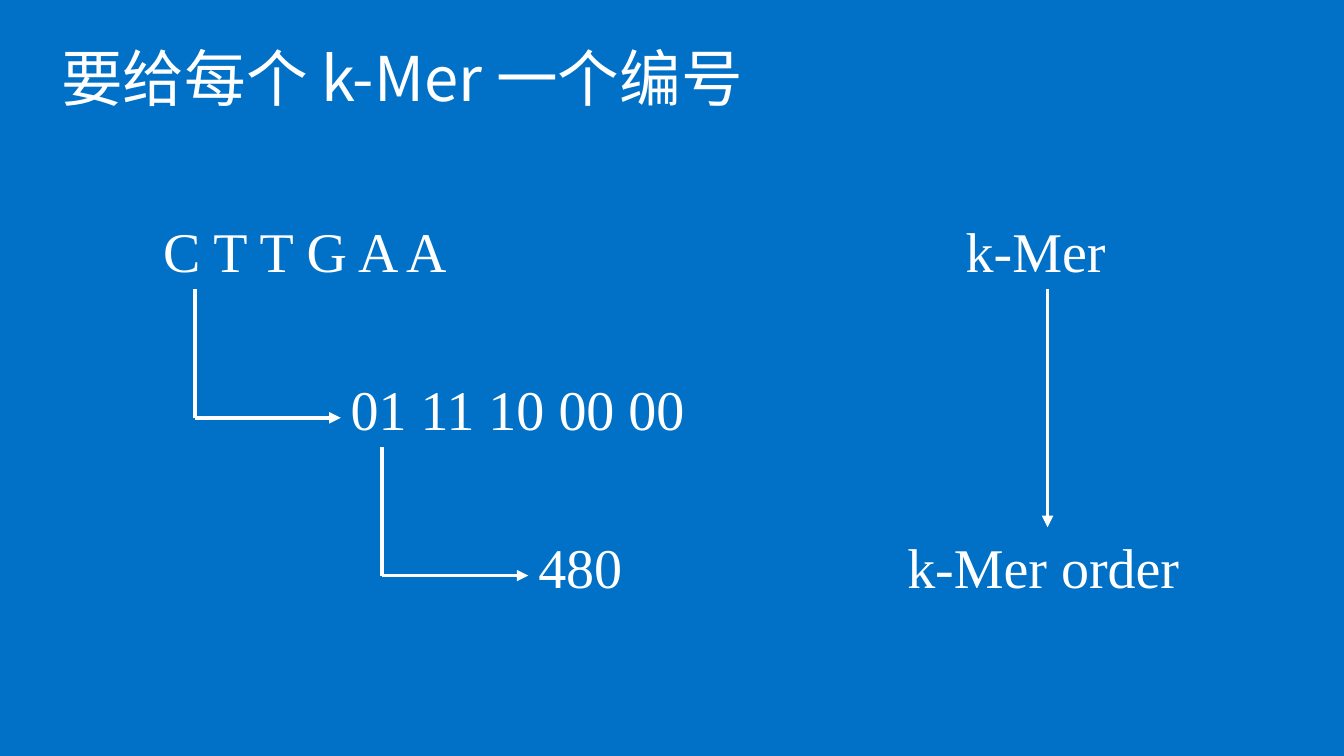
from lxml import etree
from pptx import Presentation, util as u
from pptx.dml.color import RGBColor
from pptx.enum import shapes, text
from pptx.oxml.ns import qn

WHITE, BLUE = "FFFFFF", "0071C6"
LEFT, TOP = 1.52, 2.1
COLUMN, ROW = 1.86, 1.565
LABEL_HEIGHT = 0.77
STEM_INSET, ARROW_DROP = 0.41, 0.48


def color(hex_code):
    return RGBColor.from_string(hex_code)


def column_x(column):
    return LEFT + column * COLUMN


def row_y(row):
    return TOP + row * ROW


def add_text(slide, wording, x, y, width, height, size, font):
    frame = slide.shapes.add_textbox(*map(u.Inches, (x, y, width, height))).text_frame
    frame.word_wrap = True
    paragraph = frame.paragraphs[0]
    run = paragraph.add_run()
    run.text = wording
    run.font.size = u.Pt(size)
    run.font.name = font
    run.font.color.rgb = color(WHITE)
    east_asian = etree.Element(qn("a:ea"), typeface=font)
    run.font._element.find(qn("a:latin")).addnext(east_asian)
    return frame


def add_title(slide, wording):
    frame = add_text(slide, wording, 0.51, 0.31, 12.72, 1, 44, "Noto Sans CJK SC")
    frame.vertical_anchor = text.MSO_ANCHOR.MIDDLE
    frame.paragraphs[0].line_spacing = 0.9


def add_label(slide, wording, x, row, width):
    frame = add_text(slide, wording, x, row_y(row), width, LABEL_HEIGHT, 40, "Times New Roman")
    frame.auto_size = text.MSO_AUTO_SIZE.SHAPE_TO_FIT_TEXT


def add_line(slide, start, end, arrow=False):
    connector = slide.shapes.add_connector(
        shapes.MSO_CONNECTOR.STRAIGHT, *map(u.Inches, (*start, *end)))
    connector.line.color.rgb = color(WHITE)
    connector.line.width = u.Pt(2.75)
    if arrow:
        etree.SubElement(connector.line._get_or_add_ln(), qn("a:tailEnd"), type="triangle")
    etree.SubElement(connector._element.spPr, qn("a:effectLst"))


def add_step(slide, index):
    stem_x = column_x(index) + STEM_INSET
    corner = (stem_x, row_y(index + 1) + ARROW_DROP)
    add_line(slide, (stem_x, row_y(index) + LABEL_HEIGHT), corner)
    add_line(slide, corner, (column_x(index + 1), corner[1]), arrow=True)


def main():
    deck = Presentation()
    deck.slide_width, deck.slide_height = u.Inches(13.33), u.Inches(7.5)
    slide = deck.slides.add_slide(deck.slide_layouts[6])
    slide.background.fill.solid()
    slide.background.fill.fore_color.rgb = color(BLUE)

    add_title(slide, "要给每个 k-Mer 一个编号")

    encoding = [("C T T G A A", 3.73), ("01 11 10 00 00", 3.85), ("480", 1.15)]
    for index, (wording, width) in enumerate(encoding):
        add_label(slide, wording, column_x(index), index, width)
    for index in range(len(encoding) - 1):
        add_step(slide, index)

    mapping_x = 10.39
    add_label(slide, "k-Mer", 9.48, 0, 1.82)
    add_label(slide, "k-Mer order", 8.9, 2, 2.98)
    add_line(slide, (mapping_x, row_y(0) + LABEL_HEIGHT), (mapping_x, row_y(2)), arrow=True)

    deck.save("out.pptx")


main()
